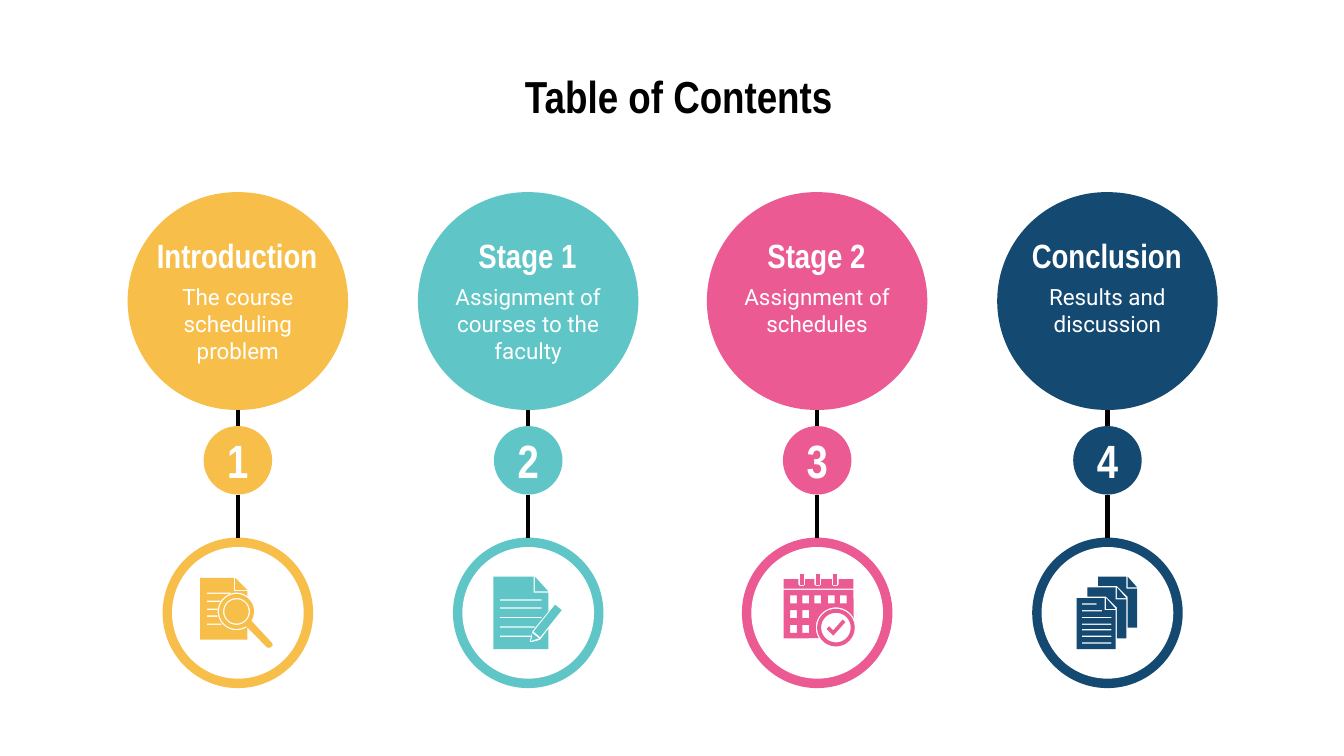
import dataclasses
import math

import lxml.etree
import pptx
import pptx.dml.color
import pptx.enum.shapes
import pptx.enum.text
import pptx.oxml.ns
import pptx.util

PX = 9144  # EMU, 100 px to the inch


@dataclasses.dataclass(frozen=True)
class Theme:
    black: str = "000000"
    white: str = "FFFFFF"
    yellow: str = "F7BF4A"
    teal: str = "5FC5C6"
    pink: str = "EB5A93"
    navy: str = "144971"
    head_font: str = "Arial Narrow"
    body_font: str = "Roboto"
    title_size: int = 24
    number_size: int = 25
    heading_size: int = 18
    body_size: int = 12
    line_width: float = 2.25


theme = Theme()
SHAPE = pptx.enum.shapes.MSO_SHAPE
ANCHOR = pptx.enum.text.MSO_ANCHOR


def arc(x, y, radius, start=0, end=360):
    """Points along an arc, angles in degrees clockwise from the right."""
    steps = 48
    angles = [math.radians(start + (end - start) * step / steps) for step in range(steps + 1)]
    return [(x + radius * math.cos(angle), y + radius * math.sin(angle)) for angle in angles]


def draw_part(shapes, center, contours, color):
    """Draw one filled outline; inner contours are holes, and two points span a rectangle."""
    builder = None
    for contour in contours:
        if len(contour) == 2:
            (left, top), (right, bottom) = contour
            contour = [(left, top), (right, top), (right, bottom), (left, bottom)]
        points = [((center + x) * PX, y * PX) for x, y in contour]
        if builder is None:
            builder = shapes.build_freeform(*points[0], scale=1.0)
        else:
            builder.move_to(*points[0])
        builder.add_line_segments(points[1:], close=True)
    part = builder.convert_to_shape()
    part.shadow.inherit = False
    part.fill.solid()
    part.fill.fore_color.rgb = pptx.dml.color.RGBColor.from_string(color)
    part.line.fill.background()


# Icon parts: x runs from the column centre, y from the slide top.
search_icon = [
    [[(-28, 430), (-28, 476), (7, 476), *arc(-1, 455, 14, 55, 305), (7, 440), (-3, 440), (-3, 430)]]
    + [[(-23, y), (right, y + 1)]
       for y, right in ((441, -5), (447, -13), (453, -15), (458, -15), (464, -12))],
    [[(-2, 430), (-2, 439), (7, 439)]],
    [[*arc(-1, 455, 13, 57, 392), (25, 478), (26, 480), (24, 482), (22, 482)],
     arc(-1, 455, 10), arc(-1, 455, 9)],
]

writing_icon = [
    [[(-26, 429), (4, 429), (4, 441), (15, 441), (15, 455), (6, 466), (3, 470), (2, 474),
      (1, 478), (6, 477), (9, 476), (15, 468), (15, 483), (-26, 483)]]
    + [[(-21, y), (right, y + 1)]
       for y, right in ((446, 10), (452, 10), (459, 10), (466, 5), (473, 2))],
    [[(5, 429), (5, 440), (15, 440)]],
    [[(20, 450), (25, 454), (9, 474), (4, 470)]],
    [[(8, 475), (3, 471), (3, 474), (2, 477), (5, 476)]],
]

day_cells = [(x, 443) for x in (-20, -11, -2, 8, 17)]
day_cells += [(x, y) for y in (454, 465) for x in (-20, -11)]
pins = (-13, -1, 12)
header = [(-25, 431)]
for pin in pins:
    header += [(pin - 1, 431), (pin - 1, 435), (pin, 436), (pin + 3, 436), (pin + 4, 435), (pin + 4, 431)]
header += [(27, 431), (27, 438), (-25, 438)]
calendar_icon = [
    *[[[(pin, 427), (pin + 3, 435)]] for pin in pins],
    [[(27, 439), (-25, 439), (-25, 475), *arc(14, 467, 15, 148, 332)]]
    + [[(x, y), (x + 5, y + 6)] for x, y in day_cells],
    [arc(14, 467, 14), arc(14, 467, 11)],
    [[(12, 469), (19, 461), (21, 463), (12, 473), (7, 468), (9, 466)]],
    [header],
]

files_icon = [
    [[(-23, 445), (-23, 483), (6, 483), (6, 454), (-2, 454), (-2, 445)],
     [(-19, 449), (-8, 450)], [(-19, 454), (-4, 455)]]
    + [[(-19, y), (3, y + 1)] for y in (459, 464, 468, 473, 478)],
    [[(-1, 445), (-1, 453), (6, 453)]],
]
for shift in (0, 8):
    sheet = [(-15, 437), (-15, 444), (-1, 444), (7, 452), (7, 475), (14, 475), (14, 446), (6, 446), (6, 437)]
    fold = [(7, 437), (7, 445), (14, 445)]
    files_icon += [[[(x + shift, y - shift) for x, y in outline]] for outline in (sheet, fold)]

columns = [
    ("Introduction", "The course scheduling problem", theme.yellow, search_icon),
    ("Stage 1", "Assignment of courses to the faculty", theme.teal, writing_icon),
    ("Stage 2", "Assignment of schedules", theme.pink, calendar_icon),
    ("Conclusion", "Results and discussion", theme.navy, files_icon),
]

deck = pptx.Presentation()
deck.slide_width = 1000 * PX
deck.slide_height = deck.slide_width * 9 // 16
page = deck.slides.add_slide(deck.slide_layouts[5])

title = page.shapes.title
title.left, title.top, title.width, title.height = (length * PX for length in (39, 41, 932, 63))
labels = [(title, "Table of Contents", theme.title_size, theme.head_font, theme.black, ANCHOR.TOP)]

for index, (heading, summary, color, icon) in enumerate(columns):
    center = 177 + round(index * 647 / 3)
    shapes = page.shapes.add_group_shape().shapes

    discs = []
    for kind, top, width, height, fill in (
        (SHAPE.ROUNDED_RECTANGLE, 400, 112, 112, color),
        (SHAPE.OVAL, 407, 98, 98, theme.white),
        (SHAPE.ROUNDED_RECTANGLE, 143, 164, 162, color),
        (SHAPE.OVAL, 317, 51, 51, color),
    ):
        left = center * PX - width * PX // 2
        disc = shapes.add_shape(kind, left, top * PX, width * PX, height * PX)
        if kind == SHAPE.ROUNDED_RECTANGLE:
            disc.adjustments[0] = 0.5
        disc.shadow.inherit = False
        disc.fill.solid()
        disc.fill.fore_color.rgb = pptx.dml.color.RGBColor.from_string(fill)
        disc.line.fill.background()
        discs.append(disc)

    heading_box = shapes.add_textbox((center - 74) * PX, 172 * PX, 147 * PX, 36 * PX)
    summary_box = shapes.add_textbox((center - 82) * PX, 201 * PX, 164 * PX, 75 * PX)
    labels += [
        (heading_box, heading, theme.heading_size, theme.head_font, theme.white, ANCHOR.MIDDLE),
        (summary_box, summary, theme.body_size, theme.body_font, theme.white, ANCHOR.TOP),
        (discs[-1], str(index + 1), theme.number_size, theme.head_font, theme.white, ANCHOR.MIDDLE),
    ]

    for start, end in ((368, 400), (317, 305)):
        link = shapes.add_connector(
            pptx.enum.shapes.MSO_CONNECTOR.STRAIGHT, center * PX, start * PX, center * PX, end * PX)
        link.line.color.rgb = pptx.dml.color.RGBColor.from_string(theme.black)
        link.line.width = pptx.util.Pt(theme.line_width)
        lxml.etree.SubElement(link._element.spPr, pptx.oxml.ns.qn("a:effectLst"))

    for contours in icon:
        draw_part(shapes, center, contours, color)

for box, text, size, font, color, anchor in labels:
    frame = box.text_frame
    frame.word_wrap = True
    frame.auto_size = pptx.enum.text.MSO_AUTO_SIZE.NONE
    frame.vertical_anchor = anchor
    frame.margin_left = frame.margin_right = frame.margin_top = frame.margin_bottom = 10 * PX
    para = frame.paragraphs[0]
    para.text = text
    para.alignment = pptx.enum.text.PP_ALIGN.CENTER
    para.font.name = font
    para.font.size = pptx.util.Pt(size)
    para.font.bold = font == theme.head_font
    para.font.color.rgb = pptx.dml.color.RGBColor.from_string(color)

deck.save("out.pptx")
